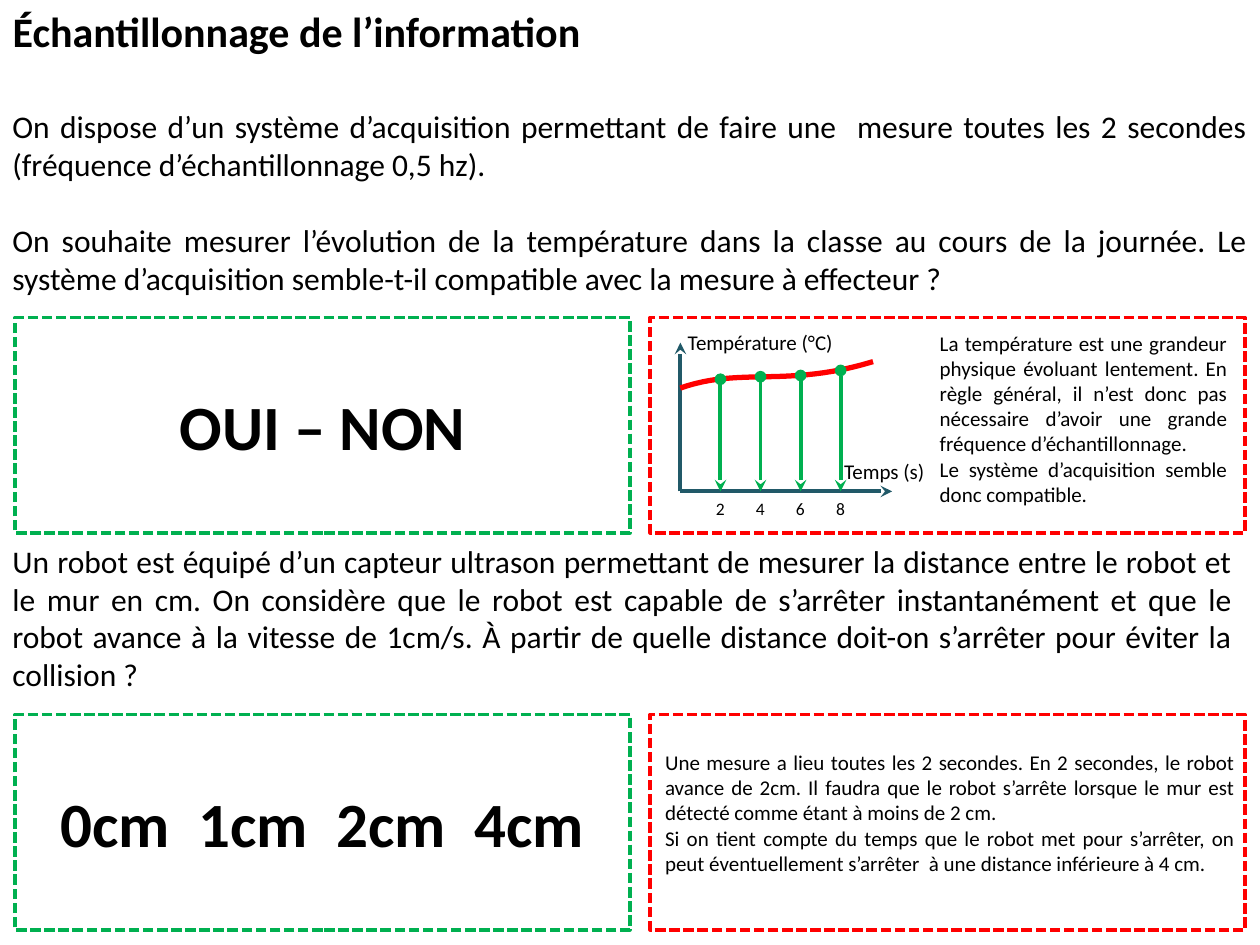
from pptx import Presentation
from pptx.dml.color import RGBColor
from pptx.enum.dml import MSO_LINE as Dash
from pptx.enum.shapes import MSO_CONNECTOR as Conn, MSO_SHAPE as Form
from pptx.enum.text import MSO_ANCHOR as Anchor, MSO_AUTO_SIZE as Fit, PP_ALIGN as Align
from pptx.oxml.ns import qn
from pptx.util import Inches, Pt
from lxml.etree import SubElement as Sub

BLACK = RGBColor(0, 0, 0)
GREEN = RGBColor(0x00, 0xB0, 0x50)
RED = RGBColor(0xFF, 0, 0)
TEAL = RGBColor(0x21, 0x59, 0x68)

WIDE, HIGH = Inches(10), Inches(7.5)
COLS, ROWS = 100, 75
LEFT, RIGHT = (1.2, 48.8), (51.6, 47.2)
DEEP = 17.1


def spot(box, x, y):
    return round((box[0] + x) * WIDE / COLS), round((box[1] + y) * HIGH / ROWS)


def area(box, x=0, y=0, w=None, h=None):
    w, h = w or box[2], h or box[3]
    return *spot(box, x, y), *spot((0, 0), w, h)


def write(shape, lines, size, align=Align.JUSTIFY, bold=False, gap=0, **frame):
    body = shape.text_frame
    look = {"word_wrap": True, "auto_size": Fit.NONE, "vertical_anchor": Anchor.TOP}
    for key, value in (look | frame).items():
        setattr(body, key, value)
    for i, line in enumerate(lines):
        para = body.paragraphs[0] if i == 0 else body.add_paragraph()
        para.alignment = align
        if i:
            para.space_before = Pt(gap)
        run = para.add_run()
        run.text = line
        for key, value in {"name": "Calibri", "size": Pt(size), "bold": bold}.items():
            setattr(run.font, key, value)
        run.font.color.rgb = BLACK


def note(slide, place, lines, size, **look):
    write(slide.shapes.add_textbox(*place), lines, size, **look)


def frame(slide, box, color):
    rect = slide.shapes.add_shape(Form.RECTANGLE, *area(box))
    rect.shadow.inherit = False
    rect.fill.background()
    rect.line.color.rgb = color
    rect.line.width = Pt(2)
    rect.line.dash_style = Dash.SQUARE_DOT
    return rect


def choice(slide, box, text):
    write(frame(slide, box, GREEN), [text], 36, align=Align.CENTER, bold=True,
          vertical_anchor=Anchor.MIDDLE)


def arrow(slide, start, end, color, **ends):
    link = slide.shapes.add_connector(Conn.STRAIGHT, *start, *end)
    link.line.color.rgb = color
    link.line.width = Pt(2.25)
    props = link._element.spPr
    line = props.find(qn("a:ln"))
    for tag, kind in ends.items():
        Sub(line, qn(f"a:{tag}"), type=kind)
    Sub(props, qn("a:effectLst"))


def curve(slide, box, knots, steps=24):
    dots = []
    for i in range(steps + 1):
        t = i / steps
        mix = ((1 - t) ** 3, 3 * t * (1 - t) ** 2, 3 * t * t * (1 - t), t ** 3)
        dots.append(spot(box, *(sum(m * v for m, v in zip(mix, axis))
                                for axis in zip(*knots))))
    path = slide.shapes.build_freeform(*dots[0])
    path.add_line_segments(dots[1:], close=False)
    shape = path.convert_to_shape()
    shape.shadow.inherit = False
    shape.fill.background()
    shape.line.color.rgb = RED
    shape.line.width = Pt(3)


def graph(slide, box):
    x0, y0, step = 2.4, 13.8, 3.18
    for x, y in ((x0, 2), (19.2, y0)):
        arrow(slide, spot(box, x0, y0), spot(box, x, y), TEAL, tailEnd="stealth")
    curve(slide, box, ((x0, 5.6), (7.2, 3.9), (10.8, 5.6), (17.7, 3.5)))
    tag = {"align": Align.LEFT, "word_wrap": False}
    note(slide, area(box, 14.4, 10.7, 8.5, 3), ["Temps (s)"], 12, **tag)
    note(slide, area(box, 2, 0.5, 13.6, 3), ["Température (°C)"], 12, **tag)
    for i, top in enumerate((4.9, 4.7, 4.6, 4.2), 1):
        x = x0 + i * step
        arrow(slide, spot(box, x, top), spot(box, x, y0), GREEN,
              headEnd="oval", tailEnd="stealth")
        note(slide, area(box, x - 1.35, y0, 2.7, 2.7), [str(2 * i)], 10, **tag)


def heat(slide, box):
    frame(slide, box, RED)
    graph(slide, box)
    note(slide, area(box, 22, 0.5, 24.8, 15.1), [
        "La température est une grandeur physique évoluant lentement. En règle "
        "général, il n’est donc pas nécessaire d’avoir une grande fréquence "
        "d’échantillonnage.",
        "Le système d’acquisition semble donc compatible."], 12)


def robot(slide, box):
    frame(slide, box, RED)
    note(slide, area(box, 0.2, 2.3, 47.2, 11.1), [
        "Une mesure a lieu toutes les 2 secondes. En 2 secondes, le robot avance "
        "de 2cm. Il faudra que le robot s’arrête lorsque le mur est détecté comme "
        "étant à moins de 2 cm.",
        "Si on tient compte du temps que le robot met pour s’arrêter, on peut "
        "éventuellement s’arrêter  à une distance inférieure à 4 cm."], 12)


def head(slide, box):
    title = slide.shapes.title
    for key, value in zip(("left", "top", "width", "height"), area(box)):
        setattr(title, key, value)
    write(title, ["Échantillonnage de l’information"], 24, bold=True)


def main():
    deck = Presentation()
    deck.slide_width, deck.slide_height = WIDE, HIGH
    slide = deck.slides.add_slide(deck.slide_layouts[5])
    head(slide, (0, -0.1, COLS, 5))
    note(slide, area((0, 8, COLS, 16.2)), [
        "On dispose d’un système d’acquisition permettant de faire une  mesure "
        "toutes les 2 secondes (fréquence d’échantillonnage 0,5 hz).",
        "On souhaite mesurer l’évolution de la température dans la classe au cours "
        "de la journée. Le système d’acquisition semble-t-il compatible avec la "
        "mesure à effecteur ?"], 18, gap=22)
    note(slide, area((0, 42.5, 98.8, 13.1)), [
        "Un robot est équipé d’un capteur ultrason permettant de mesurer la distance "
        "entre le robot et le mur en cm. On considère que le robot est capable de "
        "s’arrêter instantanément et que le robot avance à la vitesse de 1cm/s. "
        "À partir de quelle distance doit-on s’arrêter pour éviter la collision ?"], 18)
    for top, text, reply in ((25.2, "OUI – NON", heat),
                             (56.7, "0cm  1cm  2cm  4cm", robot)):
        choice(slide, (LEFT[0], top, LEFT[1], DEEP), text)
        reply(slide, (RIGHT[0], top, RIGHT[1], DEEP))
    deck.save("out.pptx")


if __name__ == "__main__":
    main()
